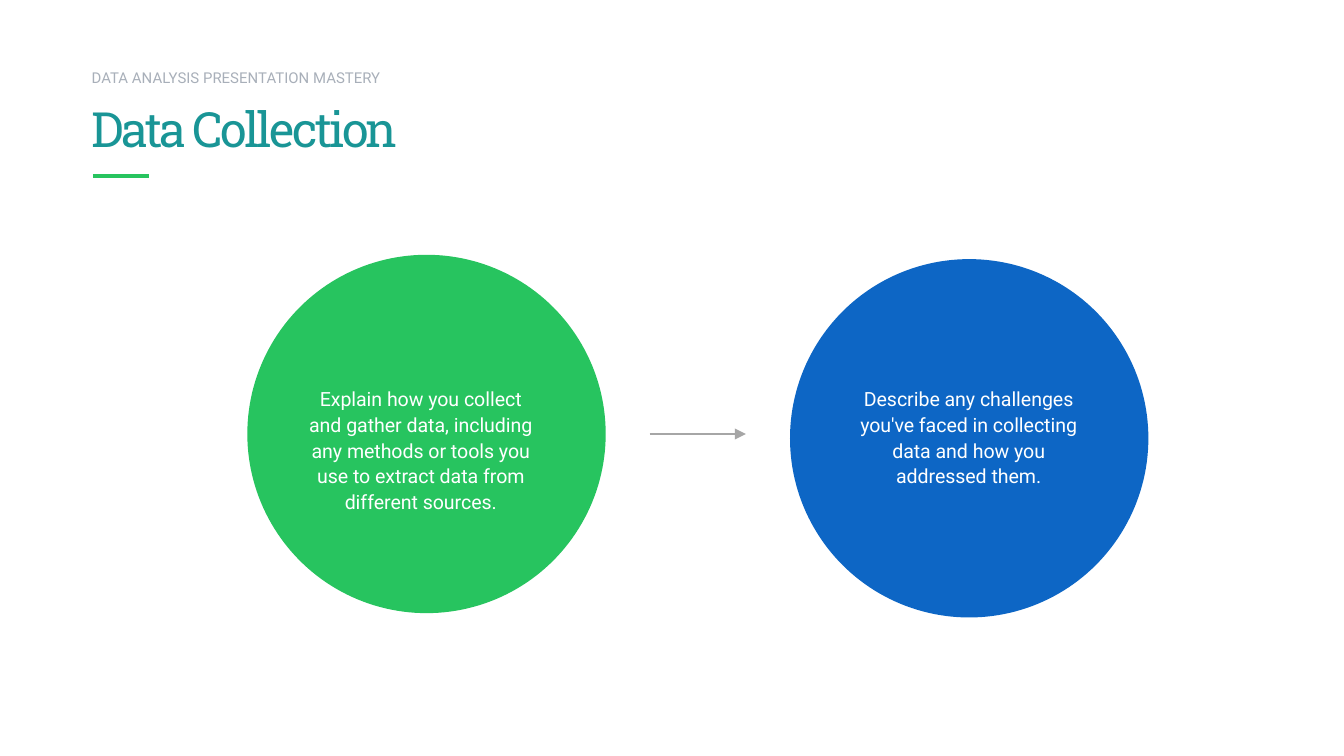
"""Build the Data Collection slide with two linked circles."""
from lxml.etree import SubElement
from pptx import Presentation
from pptx.dml.color import RGBColor
from pptx.enum.shapes import MSO_CONNECTOR, MSO_SHAPE
from pptx.enum.text import MSO_ANCHOR, PP_ALIGN
from pptx.oxml.ns import qn
from pptx.util import Pt

KICKER = "DATA ANALYSIS PRESENTATION MASTERY"
TITLE = "Data Collection"
GREEN, BLUE, TEAL = "27C45F", "0D66C5", "199596"
GRAY, ARROW_GRAY, WHITE = "A8AFB9", "A6A6A6", "FFFFFF"
DIAMETER = 192
STEPS = [
    {"circle": (132.5, 136.5), "text_left": 156.5, "color": GREEN,
     "text": "Explain how you collect and gather data, including any methods "
             "or tools you use to extract data from different sources."},
    {"circle": (423.2, 138.8), "text_left": 450, "color": BLUE,
     "text": "Describe any challenges you've faced in collecting data "
             "and how you addressed them."},
]


def color(value):
    return RGBColor.from_string(value)


def add_text(slide, box, text, size, font_color, font="Roboto", anchor=MSO_ANCHOR.TOP,
             alignment=PP_ALIGN.LEFT, line_spacing=1.0, tracking=0):
    frame = slide.shapes.add_textbox(*map(Pt, box)).text_frame
    frame.word_wrap = True
    frame.vertical_anchor = anchor
    paragraph = frame.paragraphs[0]
    paragraph.alignment = alignment
    paragraph.line_spacing = line_spacing
    run = paragraph.add_run()
    run.text = text
    run.font.name = font
    run.font.size = Pt(size)
    run.font.color.rgb = color(font_color)
    if tracking:
        run.font._element.set("spc", str(round(tracking * 100)))


def add_line(slide, left, right, top, line_color, width, arrow=False):
    connector = slide.shapes.add_connector(
        MSO_CONNECTOR.STRAIGHT, Pt(left), Pt(top), Pt(right), Pt(top))
    connector.line.color.rgb = color(line_color)
    connector.line.width = Pt(width)
    if arrow:
        SubElement(connector.line._get_or_add_ln(), qn("a:tailEnd"), type="triangle")
    SubElement(connector._element.spPr, qn("a:effectLst"))


def add_step(slide, step):
    left, top = step["circle"]
    circle = slide.shapes.add_shape(
        MSO_SHAPE.OVAL, Pt(left), Pt(top), Pt(DIAMETER), Pt(DIAMETER))
    circle.shadow.inherit = False
    circle.fill.solid()
    circle.fill.fore_color.rgb = color(step["color"])
    circle.line.fill.background()
    add_text(slide, (step["text_left"], 202.5, 138, 84), step["text"], 10.5, WHITE,
             alignment=PP_ALIGN.CENTER, line_spacing=1.1)


def main():
    presentation = Presentation()
    presentation.slide_width = Pt(720)
    presentation.slide_height = Pt(405)
    slide = presentation.slides.add_slide(presentation.slide_layouts[6])
    add_line(slide, 49.8, 79.8, 94.3, GREEN, 2)
    add_text(slide, (42, 34.5, 600, 68), TITLE, 26, TEAL, font="Roboto Slab",
             anchor=MSO_ANCHOR.MIDDLE, tracking=-1.5)
    add_text(slide, (42, 33.2, 396, 25), KICKER, 8, GRAY)
    for step in STEPS:
        add_step(slide, step)
    add_line(slide, 348, 399.6, 232.5, ARROW_GRAY, 0.75, arrow=True)
    presentation.save("out.pptx")


if __name__ == "__main__":
    main()
